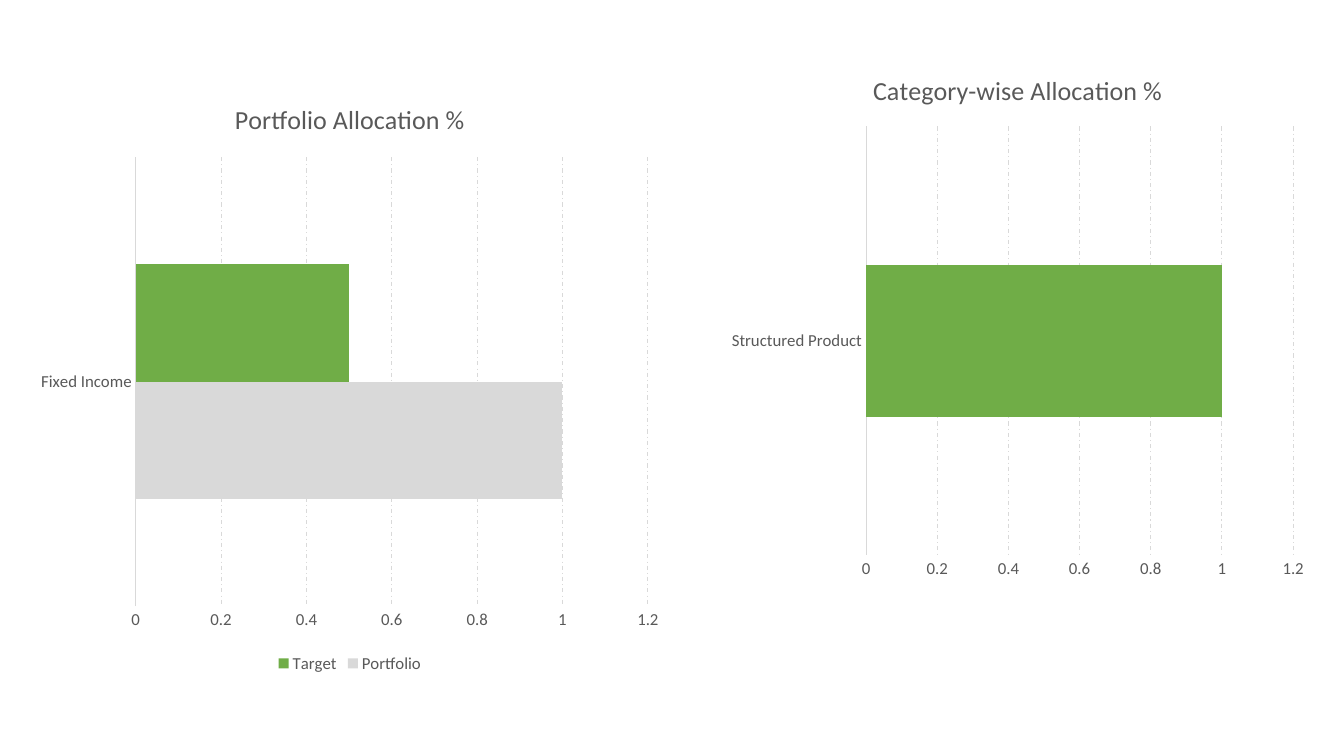
import pptx
import pptx.chart.data
import pptx.dml.color
import pptx.enum.chart
import pptx.enum.dml
import pptx.util

FONT = "Calibri"
GREY_TEXT, GREY_LINE, GREEN = "595959", "D9D9D9", "70AD47"


def color(hex_code):
    return pptx.dml.color.RGBColor.from_string(hex_code)


def style_font(font, size, hex_code=GREY_TEXT):
    font.name = FONT
    font.size = pptx.util.Pt(size)
    font.bold = False
    font.color.rgb = color(hex_code)


deck = pptx.Presentation()
deck.slide_width = pptx.util.Inches(13.33)
deck.slide_height = pptx.util.Inches(7.5)
page = deck.slides.add_slide(deck.slide_layouts[6])

# Title, category, (series name, value, color), (left, top, width, height)
allocations = [
    ("Portfolio Allocation %", "Fixed Income",
     [("Portfolio", 1, GREY_LINE), ("Target", 0.5, GREEN)],
     (0.28, 0.79, 6.38, 5.93)),
    ("Category-wise Allocation %", "Structured Product",
     [("Series 1", 1, GREEN)],
     (7.14, 0.51, 5.91, 5.34)),
]

for title, category, bars, place in allocations:
    data = pptx.chart.data.CategoryChartData()
    data.categories = [category]
    for name, value, _ in bars:
        data.add_series(name, [value])
    chart = page.shapes.add_chart(
        pptx.enum.chart.XL_CHART_TYPE.BAR_CLUSTERED,
        *[pptx.util.Inches(length) for length in place], data).chart
    style_font(chart.font, 10, "000000")

    chart.has_title = True
    chart.chart_title.include_in_layout = False
    span = chart.chart_title.text_frame.paragraphs[0].add_run()
    span.text = title
    style_font(span.font, 18.6)

    plot = chart.plots[0]
    plot.gap_width = 182
    plot.vary_by_categories = False
    for series, (_, _, fill) in zip(plot.series, bars):
        series.format.fill.solid()
        series.format.fill.fore_color.rgb = color(fill)

    for axis in (chart.category_axis, chart.value_axis):
        axis.major_tick_mark = pptx.enum.chart.XL_TICK_MARK.NONE
        axis.minor_tick_mark = pptx.enum.chart.XL_TICK_MARK.NONE
        style_font(axis.tick_labels.font, 12)

    chart.value_axis.minimum_scale = 0
    chart.value_axis.maximum_scale = 1.2
    chart.value_axis.major_unit = 0.2
    chart.value_axis.format.line.fill.background()
    chart.value_axis.has_major_gridlines = True
    grid = chart.value_axis.major_gridlines.format.line
    for line in (chart.category_axis.format.line, grid):
        line.color.rgb = color(GREY_LINE)
        line.width = pptx.util.Pt(0.75)
    grid.dash_style = pptx.enum.dml.MSO_LINE.DASH_DOT

    chart.has_legend = len(bars) > 1
    if chart.has_legend:
        chart.legend.position = pptx.enum.chart.XL_LEGEND_POSITION.BOTTOM
        chart.legend.include_in_layout = False
        style_font(chart.legend.font, 12)

deck.save("out.pptx")
